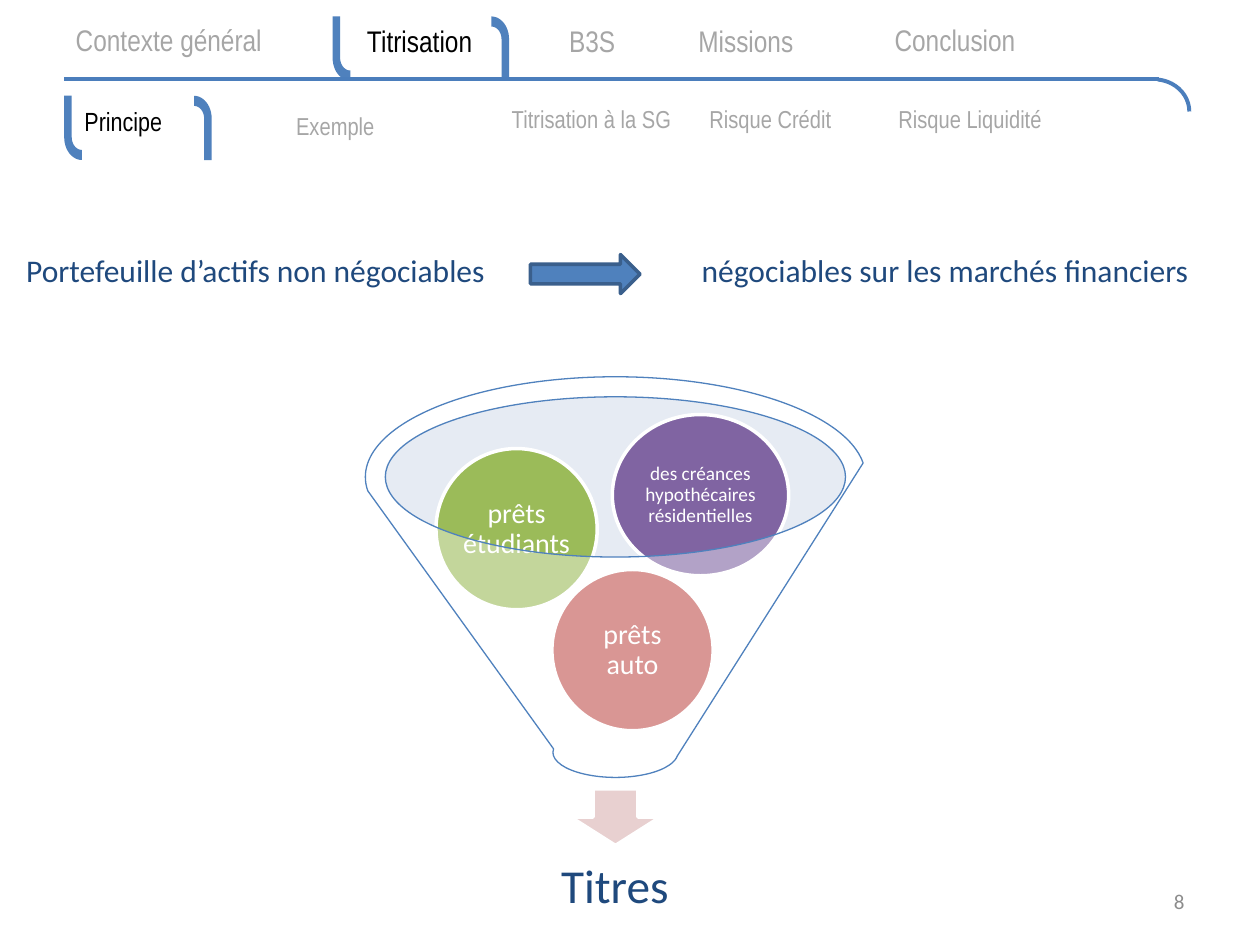
from math import cos, pi, sin

from lxml import etree
from pptx import Presentation
from pptx.dml.color import RGBColor
from pptx.enum.shapes import MSO_CONNECTOR, MSO_SHAPE
from pptx.enum.text import MSO_ANCHOR, PP_ALIGN
from pptx.oxml.ns import qn
from pptx.util import Inches, Pt

LEFT, CENTER, RIGHT = PP_ALIGN.LEFT, PP_ALIGN.CENTER, PP_ALIGN.RIGHT
TOP, MIDDLE = MSO_ANCHOR.TOP, MSO_ANCHOR.MIDDLE
ELLIPSE, ARC, FUNNEL = MSO_SHAPE.OVAL, MSO_SHAPE.ARC, MSO_SHAPE.FUNNEL
RIGHT_ARROW, DOWN_ARROW = MSO_SHAPE.RIGHT_ARROW, MSO_SHAPE.DOWN_ARROW

BLUE, RULE_BLUE, NAVY = "4F81BD", "4B7EBC", "1F497D"
GREY, BLACK, WHITE = "A6A6A6", "000000", "FFFFFF"
NAV_FONT, BODY_FONT = "Arial Narrow", "Calibri"


def color(value):
    return RGBColor.from_string(value)


class SlideBuilder:
    def __init__(self, slide):
        self.slide = slide

    def label(self, shape, text, size, font, text_color, align=LEFT, anchor=MIDDLE,
              inset=0.0, spacing=1.0, wrap=True):
        frame = shape.text_frame
        frame.word_wrap = wrap
        frame.vertical_anchor = anchor
        frame.margin_left = frame.margin_right = Inches(inset)
        frame.margin_top = frame.margin_bottom = Inches(min(inset, 0.05))
        paragraph = frame.paragraphs[0]
        paragraph.text = text
        paragraph.alignment = align
        paragraph.line_spacing = spacing
        paragraph.font.size = Pt(size)
        paragraph.font.name = font
        paragraph.font.color.rgb = color(text_color)

    def text(self, box, text, size, font, text_color, **options):
        shape = self.slide.shapes.add_textbox(*map(Inches, box))
        self.label(shape, text, size, font, text_color, **options)

    def paint(self, shape, fill=None, line=None, width=1.0, opacity=100):
        shape.shadow.inherit = False
        if fill:
            shape.fill.solid()
            shape.fill.fore_color.rgb = color(fill)
            if opacity < 100:
                hue = shape._element.spPr.find(qn("a:solidFill")).find(qn("a:srgbClr"))
                etree.SubElement(hue, qn("a:alpha"), val=str(opacity * 1000))
        else:
            shape.fill.background()
        if line:
            shape.line.color.rgb = color(line)
            shape.line.width = Pt(width)
        else:
            shape.line.fill.background()

    def shape(self, kind, box, **look):
        shape = self.slide.shapes.add_shape(kind, *map(Inches, box))
        self.paint(shape, **look)
        return shape

    def line(self, start, end, line_color, width):
        connector = self.slide.shapes.add_connector(
            MSO_CONNECTOR.STRAIGHT, *map(Inches, start + end))
        connector.line.color.rgb = color(line_color)
        connector.line.width = Pt(width)
        etree.SubElement(connector._element.spPr, qn("a:effectLst"))

    def hook(self, left, top, rotation=0):
        """A vertical bar that curves to the right at its foot."""
        def quarter(radius_x, radius_y, steps):
            return [(left + 0.14 - radius_x * cos(step * pi / 24),
                     top + 0.33 + radius_y * sin(step * pi / 24)) for step in steps]

        points = ([(left, top)] + quarter(0.14, 0.18, range(13))
                  + quarter(0.08, 0.1, range(12, -1, -1)) + [(left + 0.06, top)])
        points = [(Inches(x), Inches(y)) for x, y in points]
        builder = self.slide.shapes.build_freeform(*points[0])
        builder.add_line_segments(points[1:], close=True)
        shape = builder.convert_to_shape()
        shape.rotation = rotation
        self.paint(shape, fill=BLUE)

    def tab_frame(self, left, right, top):
        self.hook(left, top)
        self.hook(right, top, rotation=180)


def main():
    presentation = Presentation()
    presentation.slide_width, presentation.slide_height = Inches(10), Inches(7.5)
    blank_layout = presentation.slide_layouts[6]
    builder = SlideBuilder(presentation.slides.add_slide(blank_layout))

    # Main navigation
    builder.tab_frame(2.64, 3.9, 0.13)
    for label, left, top, tab_color in (
            ("Contexte général", 0.49, 0.07, GREY), ("Titrisation", 2.48, 0.08, BLACK),
            ("B3S", 3.85, 0.08, GREY), ("Missions", 5.07, 0.08, GREY),
            ("Conclusion", 6.73, 0.07, GREY)):
        builder.text((left, top, 1.7, 0.49), label, 17, NAV_FONT, tab_color, align=CENTER)
    builder.line((0.51, 0.63), (9.2, 0.63), RULE_BLUE, 2.25)
    corner = builder.shape(ARC, (8.88, 0.63, 0.56, 0.51), line=RULE_BLUE, width=2.25)
    corner.adjustments[0] = 165.97

    # Secondary navigation
    builder.tab_frame(0.51, 1.54, 0.76)
    for label, left, top, size, tab_color in (
            ("Principe", 0.67, 0.76, 15, BLACK), ("Exemple", 2.35, 0.79, 14, GREY),
            ("Titrisation à la SG", 4.06, 0.74, 14, GREY),
            ("Risque Crédit", 5.63, 0.74, 14, GREY),
            ("Risque Liquidité", 7.13, 0.74, 14, GREY)):
        builder.text((left, top, 1.42, 0.45), label, size, NAV_FONT, tab_color, spacing=0.8)

    # From illiquid assets to tradable ones
    for label, left in (("Portefeuille d’actifs non négociables", 0.11),
                        ("négociables sur les marchés financiers", 5.47)):
        builder.text((left, 1.94, 4.18, 0.4), label, 18, BODY_FONT, NAVY,
                     anchor=TOP, inset=0.1, wrap=False)
    builder.shape(RIGHT_ARROW, (4.21, 2.02, 0.87, 0.31), fill=BLUE, line="3A5F8C", width=2)

    # Funnel of loans
    builder.shape(ELLIPSE, (3.05, 3.15, 3.66, 1.27), fill="C2CDE1", opacity=40)
    builder.shape(DOWN_ARROW, (4.53, 6.26, 0.71, 0.45), fill="E8D0D0", line=WHITE, width=2)
    for label, box, fill, size in (
            ("prêts auto", (4.38, 4.52, 1.28, 1.28), "C0504D", 16),
            ("prêts étudiants", (3.46, 3.56, 1.28, 1.28), "9BBB59", 16),
            ("des créances hypothécaires résidentielles", (4.86, 3.29, 1.4, 1.28),
             "8064A2", 11)):
        circle = builder.shape(ELLIPSE, box, fill=fill, line=WHITE, width=2)
        builder.label(circle, label, size, BODY_FONT, WHITE, align=CENTER,
                      inset=0.02, spacing=0.9)
    builder.shape(FUNNEL, (2.9, 2.99, 3.97, 3.18), fill=WHITE, opacity=40,
                  line=BLUE, width=0.75)
    builder.text((3.18, 6.62, 3.4, 0.85), "Titres", 27, BODY_FONT, NAVY,
                 align=CENTER, spacing=0.9)

    # Slide number
    builder.text((7.17, 6.95, 2.33, 0.4), "8", 12, BODY_FONT, "8C8C8C",
                 align=RIGHT, inset=0.1)

    presentation.save("out.pptx")


if __name__ == "__main__":
    main()
